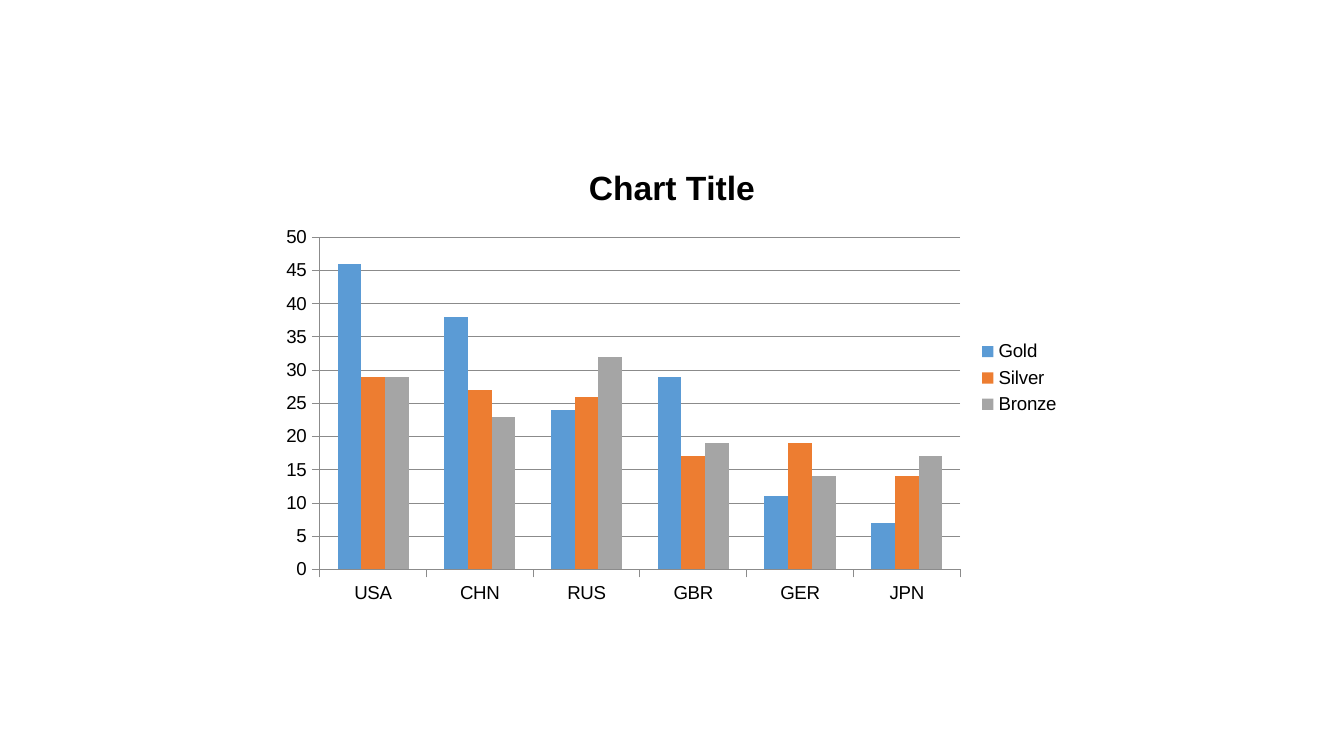
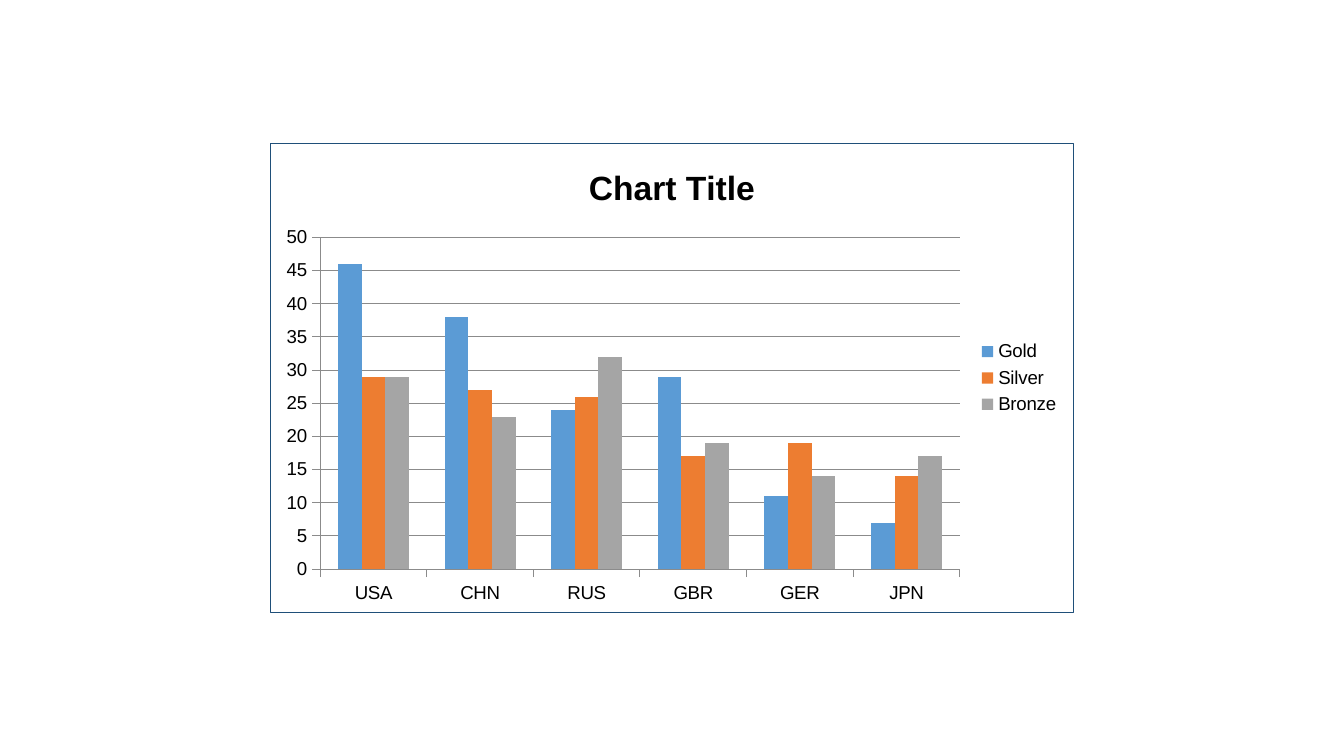
from pptx import Presentation
from pptx.chart.data import CategoryChartData
from pptx.dml.color import RGBColor
from pptx.enum.chart import XL_CHART_TYPE, XL_LEGEND_POSITION, XL_TICK_MARK
from pptx.oxml import parse_xml
from pptx.oxml.ns import nsdecls, qn
from pptx.util import Pt

COLUMNS = XL_CHART_TYPE.COLUMN_CLUSTERED
RIGHT = XL_LEGEND_POSITION.RIGHT
OUT, NONE = XL_TICK_MARK.OUTSIDE, XL_TICK_MARK.NONE

BLACK = RGBColor(0x00, 0x00, 0x00)
GRAY = RGBColor(0x8B, 0x8B, 0x8B)
NAVY = RGBColor(0x1F, 0x4F, 0x79)
BLUE = RGBColor(0x5B, 0x9B, 0xD5)
ORANGE = RGBColor(0xED, 0x7D, 0x31)
SILVER = RGBColor(0xA5, 0xA5, 0xA5)

PX = 9525  # 96 px to the inch
FONT = "Arial"
BODY = {"name": FONT, "size": Pt(10)}
HEAD = {"name": FONT, "size": Pt(18), "bold": True}
AXIS = {"major_tick_mark": OUT, "minor_tick_mark": NONE}
KEY = {"position": RIGHT, "include_in_layout": False}
BARS = {"gap_width": 150, "overlap": 0, "vary_by_categories": False}
THIN = Pt(0.5)

TEAMS = ["USA", "CHN", "RUS", "GBR", "GER", "JPN"]
MEDALS = [
    ("Gold", BLUE, [46, 38, 24, 29, 11, 7]),
    ("Silver", ORANGE, [29, 27, 26, 17, 19, 14]),
    ("Bronze", SILVER, [29, 23, 32, 19, 14, 17]),
]


def put(item, style):
    for name, value in style.items():
        setattr(item, name, value)


class Deck:
    def __init__(self, width, height):
        self.prs = Presentation()
        put(self.prs, {"slide_width": width * PX, "slide_height": height * PX})
        self.slide = None

    def page(self):
        self.slide = self.prs.slides.add_slide(self.prs.slide_layouts[6])

    def font(self, font, style):
        put(font, style)
        font.color.rgb = BLACK

    def line(self, line):
        line.color.rgb = GRAY
        line.width = THIN

    def frame(self, chart, edge):
        """Set the outer border of the chart."""
        fill = "<a:noFill/>"
        if edge:
            fill = f'<a:solidFill><a:srgbClr val="{edge}"/></a:solidFill>'
        chart.element.find(qn("c:chart")).addnext(parse_xml(
            f'<c:spPr {nsdecls("c", "a")}><a:noFill/>'
            f'<a:ln w="{THIN}">{fill}</a:ln></c:spPr>'))

    def chart(self, box, title, edge=None):
        data = CategoryChartData()
        data.categories = TEAMS
        for name, _, vals in MEDALS:
            data.add_series(name, vals)
        spot = [side * PX for side in box]
        chart = self.slide.shapes.add_chart(COLUMNS, *spot, data).chart
        self.frame(chart, edge)
        self.font(chart.font, BODY)

        # Title and legend
        chart.has_title = True
        text = chart.chart_title.text_frame
        text.text = title
        self.font(text.paragraphs[0].runs[0].font, HEAD)
        chart.has_legend = True
        put(chart.legend, KEY)

        # Axes and grid
        for axis in (chart.category_axis, chart.value_axis):
            put(axis, AXIS)
            self.line(axis.format.line)
        self.line(chart.value_axis.major_gridlines.format.line)

        # Columns
        plot = chart.plots[0]
        put(plot, BARS)
        for bars, (_, color, _) in zip(plot.series, MEDALS):
            bars.format.fill.solid()
            bars.format.fill.fore_color.rgb = color


def main():
    deck = Deck(960, 540)
    # Same medal chart, first plain, then with a border
    for edge in (None, NAVY):
        deck.page()
        deck.chart((193, 102, 574, 336), "Chart Title", edge)
    deck.prs.save("out.pptx")


if __name__ == "__main__":
    main()
